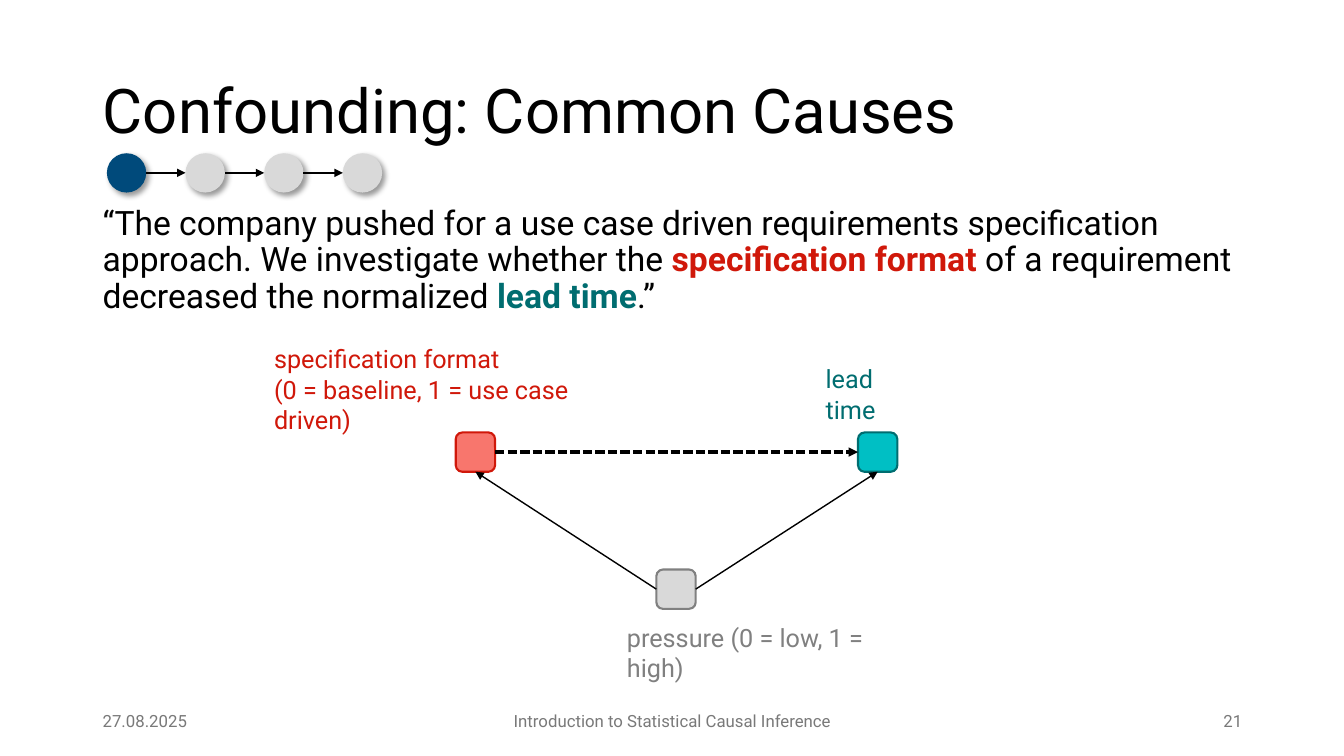
from lxml import etree
from pptx import Presentation
from pptx import util as u
from pptx.dml.color import RGBColor
from pptx.enum import dml, shapes, text
from pptx.oxml.ns import qn

FONT = "Roboto"
BLACK = RGBColor(0x00, 0x00, 0x00)
RED = RGBColor(0xD0, 0x18, 0x0A)
SALMON = RGBColor(0xF8, 0x76, 0x6D)
TEAL = RGBColor(0x00, 0x6D, 0x70)
TURQUOISE = RGBColor(0x00, 0xBF, 0xC4)
NAVY = RGBColor(0x00, 0x4A, 0x7B)
LIGHT = RGBColor(0xD9, 0xD9, 0xD9)
GREY = RGBColor(0x80, 0x80, 0x80)
FOOTER_GREY = RGBColor(0x79, 0x79, 0x79)

TITLE = "Confounding: Common Causes"
QUOTE = [  # text, colour, bold
    ("“The company pushed for a use case driven requirements specification "
     "approach. We investigate whether the ", BLACK, False),
    ("specification format ", RED, True),
    ("of a requirement decreased the normalized ", BLACK, False),
    ("lead time", TEAL, True),
    (".”", BLACK, False),
]
ALIGN = text.PP_ALIGN
FOOTERS = [  # text, left, width, alignment
    ("27.08.2025", 0.92, 3, ALIGN.LEFT),
    ("Introduction to Statistical Causal Inference", 4.42, 4.5, ALIGN.CENTER),
    ("21", 9.42, 3, ALIGN.RIGHT),
]
LABELS = [  # lines, colour, left, top, width, height
    (["specification format", "(0 = baseline, 1 = use case driven)"], RED, 2.62, 3.36, 3.86, 0.71),
    (["lead time"], TEAL, 8.09, 3.56, 1.2, 0.4),
    (["pressure (0 = low, 1 = high)"], GREY, 6.12, 6.12, 3, 0.4),
]
NODES = {  # left, top, fill, outline
    "format": (4.52, 4.29, SALMON, RED),
    "lead time": (8.51, 4.29, TURQUOISE, TEAL),
    "pressure": (6.51, 5.65, LIGHT, GREY),
}
STEP_COLORS = [NAVY, LIGHT, LIGHT, LIGHT]
STEP_LEFT, STEP_TOP, STEP_PITCH = 1.06, 1.52, 0.78
SIZE = 0.39
HALF = SIZE / 2

deck = Presentation()
deck.slide_width, deck.slide_height = u.Inches(13.33), u.Inches(7.5)
page = deck.slides.add_slide(deck.slide_layouts[5])


def place(shape, left, top, width, height):
    shape.left, shape.top = u.Inches(left), u.Inches(top)
    shape.width, shape.height = u.Inches(width), u.Inches(height)


def style(span, size, color, bold=False):
    span.font.name, span.font.size, span.font.bold = FONT, u.Pt(size), bold
    span.font.color.rgb = color


def add_text(lines, bounds, size, color, align=ALIGN.LEFT, anchor=text.MSO_ANCHOR.TOP):
    box = page.shapes.add_textbox(*map(u.Inches, bounds))
    frame = box.text_frame
    frame.word_wrap = True
    frame.vertical_anchor = anchor
    frame.text = "\n".join(lines)
    for para in frame.paragraphs:
        para.alignment = align
        for span in para.runs:
            style(span, size, color)


def add_node(kind, left, top, fill, outline=None):
    node = page.shapes.add_shape(kind, *map(u.Inches, (left, top, SIZE, SIZE)))
    node.shadow.inherit = False
    node.fill.solid()
    node.fill.fore_color.rgb = fill
    if outline is None:
        node.line.fill.background()
    else:
        node.line.color.rgb = outline
        node.line.width = u.Pt(1.5)
    return node


def add_soft_shadow(shape):
    effects = shape._element.spPr.find(qn("a:effectLst"))
    shadow = etree.SubElement(effects, qn("a:outerShdw"), blurRad=str(u.Pt(4)),
                              dist=str(u.Pt(3)), dir=str(45 * 60000), rotWithShape="0")
    color = etree.SubElement(shadow, qn("a:srgbClr"), val=str(BLACK))
    etree.SubElement(color, qn("a:alpha"), val="40000")


def add_arrow(start, end, width, dashed=False):
    arrow = page.shapes.add_connector(
        shapes.MSO_CONNECTOR.STRAIGHT, *map(u.Inches, (*start, *end)))
    arrow.line.color.rgb = BLACK
    arrow.line.width = u.Pt(width)
    if dashed:
        arrow.line.dash_style = dml.MSO_LINE.SQUARE_DOT
    etree.SubElement(arrow.line._get_or_add_ln(), qn("a:tailEnd"), type="triangle")
    etree.SubElement(arrow._element.spPr, qn("a:effectLst"))


# Title and quotation
title = page.shapes.title
place(title, 0.92, 0.4, 10.4, 1.45)
title.text_frame.text = TITLE
title.text_frame.auto_size = text.MSO_AUTO_SIZE.NONE
title.text_frame.vertical_anchor = text.MSO_ANCHOR.MIDDLE
heading = title.text_frame.paragraphs[0]
heading.alignment, heading.line_spacing = ALIGN.LEFT, 0.9
style(heading.runs[0], 44, BLACK)

quote = page.shapes.add_textbox(*map(u.Inches, (0.92, 2, 11.5, 1.44)))
quote.text_frame.word_wrap = True
quote_para = quote.text_frame.paragraphs[0]
quote_para.line_spacing = 0.9
for words, color, bold in QUOTE:
    span = quote_para.add_run()
    span.text = words
    style(span, 24, color, bold)

for words, left, width, align in FOOTERS:
    add_text([words], (left, 6.95, width, 0.4), 12, FOOTER_GREY, align, text.MSO_ANCHOR.MIDDLE)

# Progress chain
for index, color in enumerate(STEP_COLORS):
    left = STEP_LEFT + index * STEP_PITCH
    add_soft_shadow(add_node(shapes.MSO_SHAPE.OVAL, left, STEP_TOP, color))
    if index:
        middle = STEP_TOP + HALF
        add_arrow((left - STEP_PITCH + SIZE, middle), (left, middle), 1.5)

# Causal graph
for left, top, fill, outline in NODES.values():
    add_node(shapes.MSO_SHAPE.ROUNDED_RECTANGLE, left, top, fill, outline)
cause_x, row_y = NODES["format"][:2]
effect_x = NODES["lead time"][0]
common_x, common_y = NODES["pressure"][:2]
add_arrow((cause_x + SIZE, row_y + HALF), (effect_x, row_y + HALF), 2.25, dashed=True)
for start_x, end_x in [(common_x, cause_x), (common_x + SIZE, effect_x)]:
    add_arrow((start_x, common_y + HALF), (end_x + HALF, row_y + SIZE), 1)

for lines, color, *bounds in LABELS:
    add_text(lines, bounds, 18, color)

deck.save("out.pptx")
